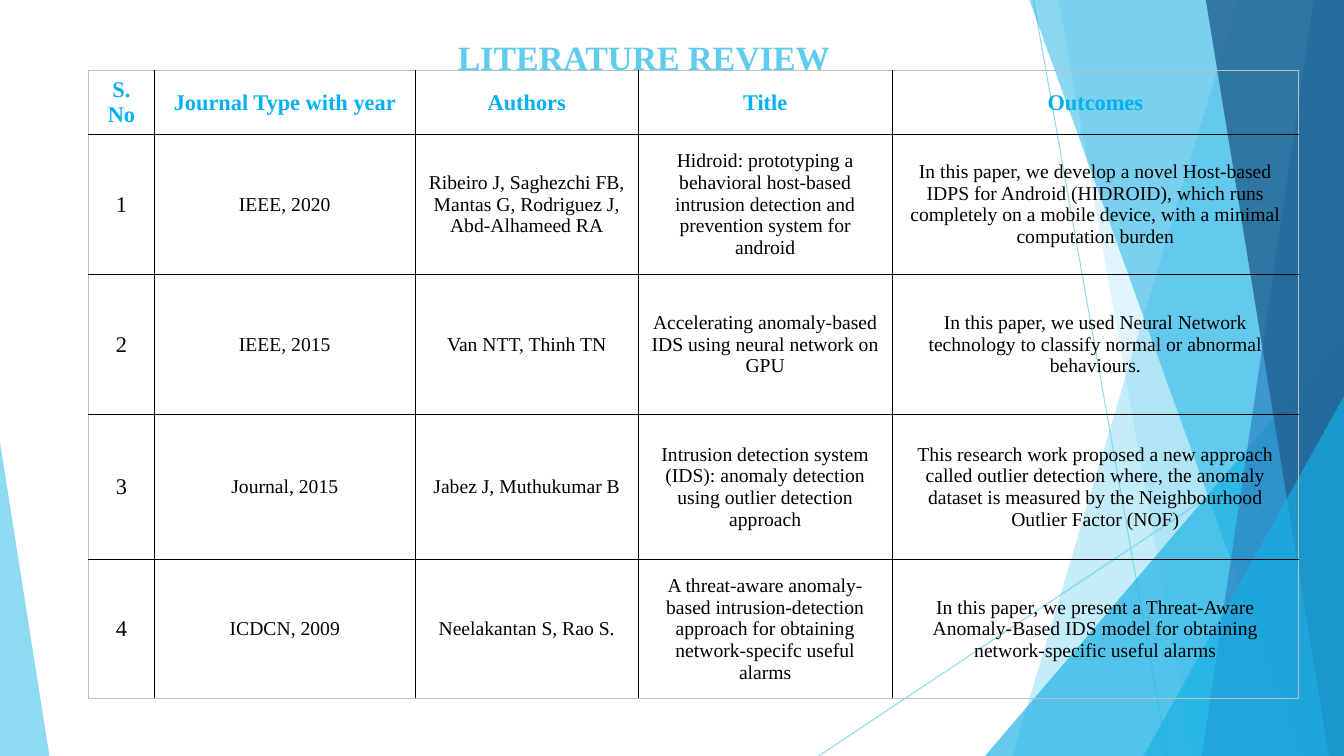
from collections import namedtuple

from lxml.etree import SubElement
from pptx import Presentation
from pptx.dml.color import RGBColor
from pptx.enum.shapes import MSO_CONNECTOR as Connector, MSO_SHAPE as Shape
from pptx.enum.text import MSO_ANCHOR as Anchor, PP_ALIGN as Align
from pptx.oxml.ns import qn
from pptx.util import Inches, Pt

Box = namedtuple("Box", "left top width height")
GRID = Inches(0.01)
COLUMNS, ROWS = 1333, 750
FONT = "Times New Roman"
COLORS = {
    "sky": "5FCBEF", "cyan": "17B0E4", "blue": "2E83C3", "navy": "226292",
    "heading": "00B0F0", "ink": "000000", "frame": "BFBFBF",
}
HEADINGS = ["S. No", "Journal Type with year", "Authors", "Title", "Outcomes"]
PAPERS = [
    ["1", "IEEE, 2020",
     "Ribeiro J, Saghezchi FB, Mantas G, Rodriguez J, Abd-Alhameed RA",
     "Hidroid: prototyping a behavioral host-based intrusion detection and "
     "prevention system for android",
     "In this paper, we develop a novel Host-based IDPS for Android (HIDROID), "
     "which runs completely on a mobile device, with a minimal computation burden"],
    ["2", "IEEE, 2015", "Van NTT, Thinh TN",
     "Accelerating anomaly-based IDS using neural network on GPU",
     "In this paper, we used Neural Network technology to classify normal or "
     "abnormal behaviours."],
    ["3", "Journal, 2015", "Jabez J, Muthukumar B",
     "Intrusion detection system (IDS): anomaly detection using outlier "
     "detection approach",
     "This research work proposed a new approach called outlier detection where, "
     "the anomaly dataset is measured by the Neighbourhood Outlier Factor (NOF)"],
    ["4", "ICDCN, 2009", "Neelakantan S, Rao S.",
     "A threat-aware anomaly-based intrusion-detection approach for obtaining "
     "network-specifc useful alarms",
     "In this paper, we present a Threat-Aware Anomaly-Based IDS model for "
     "obtaining network-specific useful alarms"],
]
COLUMN_WIDTHS = [65, 259, 221, 252, 403]
ROW_HEIGHTS = [62, 139, 139, 144, 138]


def place(box):
    return [GRID * length for length in box]


def rgb(name):
    return RGBColor.from_string(COLORS[name])


def set_opacity(owner, percent):
    color = next(owner.iter(qn("a:srgbClr")))
    SubElement(color, qn("a:alpha")).set("val", str(percent * 1000))


def paint(shape, color, opacity):
    shape.shadow.inherit = False
    shape.fill.solid()
    shape.fill.fore_color.rgb = rgb(color)
    shape.line.fill.background()
    set_opacity(shape.fill._xPr, opacity)


def add_ray(page, start, end):
    ray = page.shapes.add_connector(Connector.STRAIGHT, *place(start + end))
    ray.line.color.rgb = rgb("sky")
    ray.line.width = Pt(0.75)
    properties = ray._element.spPr
    set_opacity(properties, 70)
    SubElement(properties, qn("a:effectLst"))


def add_facet(page, box, top_left, bottom_left, color, opacity):
    right, bottom = box.left + box.width, box.top + box.height
    builder = page.shapes.build_freeform(top_left, box.top, scale=GRID)
    builder.add_line_segments(
        [(right, box.top), (right, bottom), (bottom_left, bottom)], close=True)
    paint(builder.convert_to_shape(), color, opacity)


def add_corner(page, box, apex, color, opacity):
    corner = page.shapes.add_shape(Shape.ISOSCELES_TRIANGLE, *place(box))
    corner.adjustments[0] = apex
    paint(corner, color, opacity)


def add_backdrop(page, box):
    right, bottom = box.left + box.width, box.top + box.height

    def corner_at_right(width, height):
        corner = Box(right - width, bottom - height, width, height)
        add_corner(page, corner, 1, "cyan", 66)

    add_ray(page, (1025, box.top), (1158, bottom))
    add_ray(page, (right, 403), (812, bottom))
    add_facet(page, box, 1228, 1004, "sky", 36)
    add_facet(page, box, 1050, 1183, "sky", 20)
    corner_at_right(356, 417)
    add_facet(page, box, 1021, 1291, "cyan", 50)
    add_facet(page, box, 1303, 1192, "blue", 70)
    add_facet(page, box, 1196, 1318, "navy", 80)
    corner_at_right(199, 357)
    add_corner(page, Box(box.left, bottom - 311, 49, 311), 0, "sky", 70)


def write(frame, text, size, color, bold):
    para = frame.paragraphs[0]
    para.alignment = Align.CENTER
    span = para.add_run()
    span.text = text
    span.font.name = FONT
    span.font.size = Pt(size)
    span.font.bold = bold
    span.font.color.rgb = rgb(color)


def add_title(page, box):
    frame = page.shapes.add_textbox(*place(box)).text_frame
    frame.word_wrap = True
    frame.margin_top = GRID * 9
    write(frame, "LITERATURE REVIEW", 24.3, "sky", True)


def add_borders(cell, outer_sides):
    properties = cell._tc.get_or_add_tcPr()
    for side, is_outer in zip("LRTB", outer_sides):
        line = SubElement(properties, qn(f"a:ln{side}"), w=str(Pt(1)))
        fill = SubElement(line, qn("a:solidFill"))
        color = COLORS["frame" if is_outer else "ink"]
        SubElement(fill, qn("a:srgbClr"), val=color)


def add_review_table(page, box):
    records = [HEADINGS] + PAPERS
    last_row, last_column = len(records) - 1, len(HEADINGS) - 1
    table = page.shapes.add_table(last_row + 1, last_column + 1, *place(box)).table
    table.horz_banding = False
    for column, width in zip(table.columns, COLUMN_WIDTHS):
        column.width = GRID * width
    for row, height in zip(table.rows, ROW_HEIGHTS):
        row.height = GRID * height
    for r, record in enumerate(records):
        for c, text in enumerate(record):
            cell = table.cell(r, c)
            add_borders(cell, (c == 0, c == last_column, r == 0, r == last_row))
            cell.fill.background()
            cell.vertical_anchor = Anchor.MIDDLE
            is_heading = r == 0
            write(cell.text_frame, text, 16 if is_heading or c == 0 else 14,
                  "heading" if is_heading else "ink", is_heading)


def main():
    deck = Presentation()
    deck.slide_width, deck.slide_height = GRID * COLUMNS, GRID * ROWS
    page = deck.slides.add_slide(deck.slide_layouts[6])
    add_backdrop(page, Box(0, 0, COLUMNS, ROWS))
    add_title(page, Box(157, 27, 963, 69))
    add_review_table(page, Box(88, 70, sum(COLUMN_WIDTHS), sum(ROW_HEIGHTS)))
    deck.save("out.pptx")


if __name__ == "__main__":
    main()
